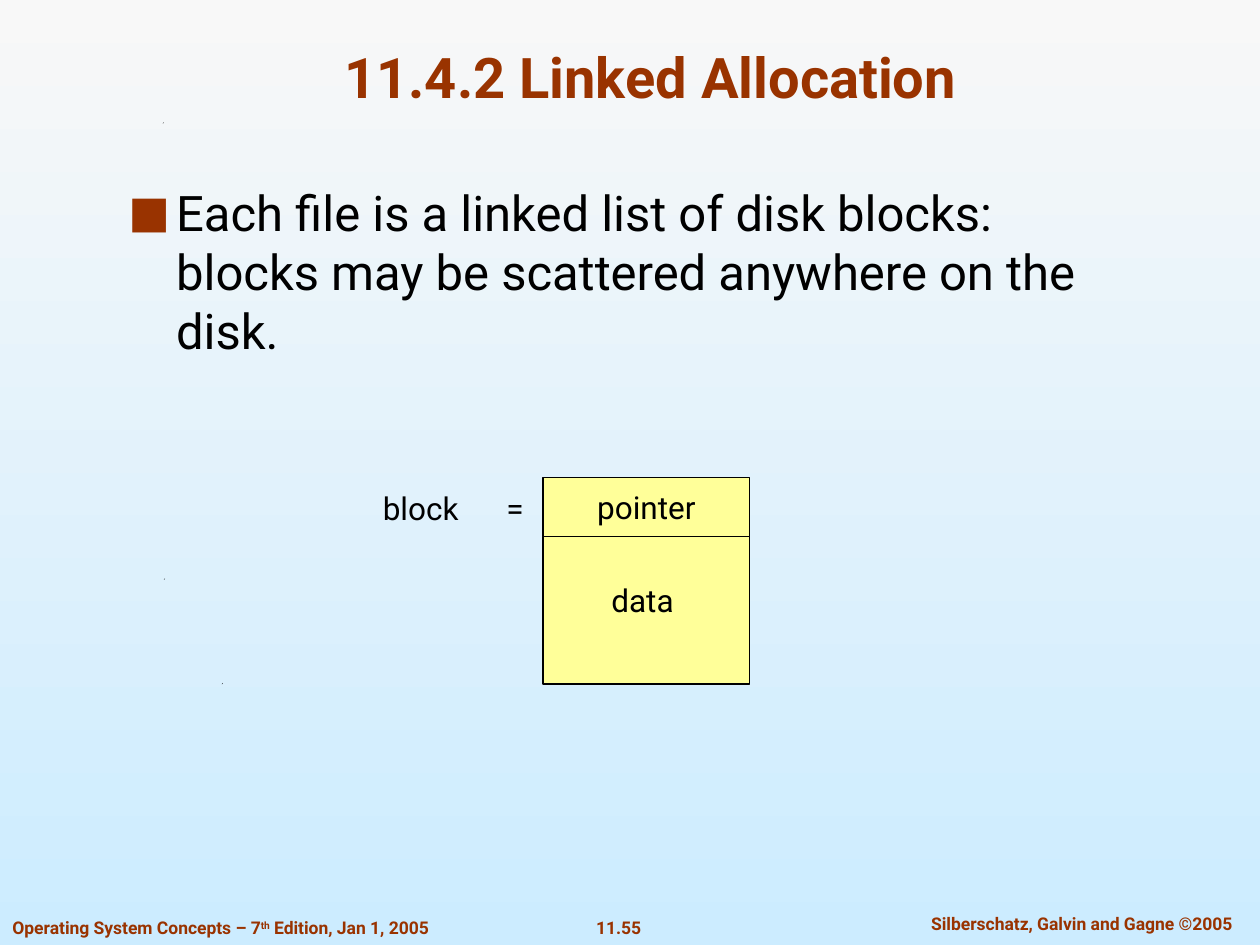
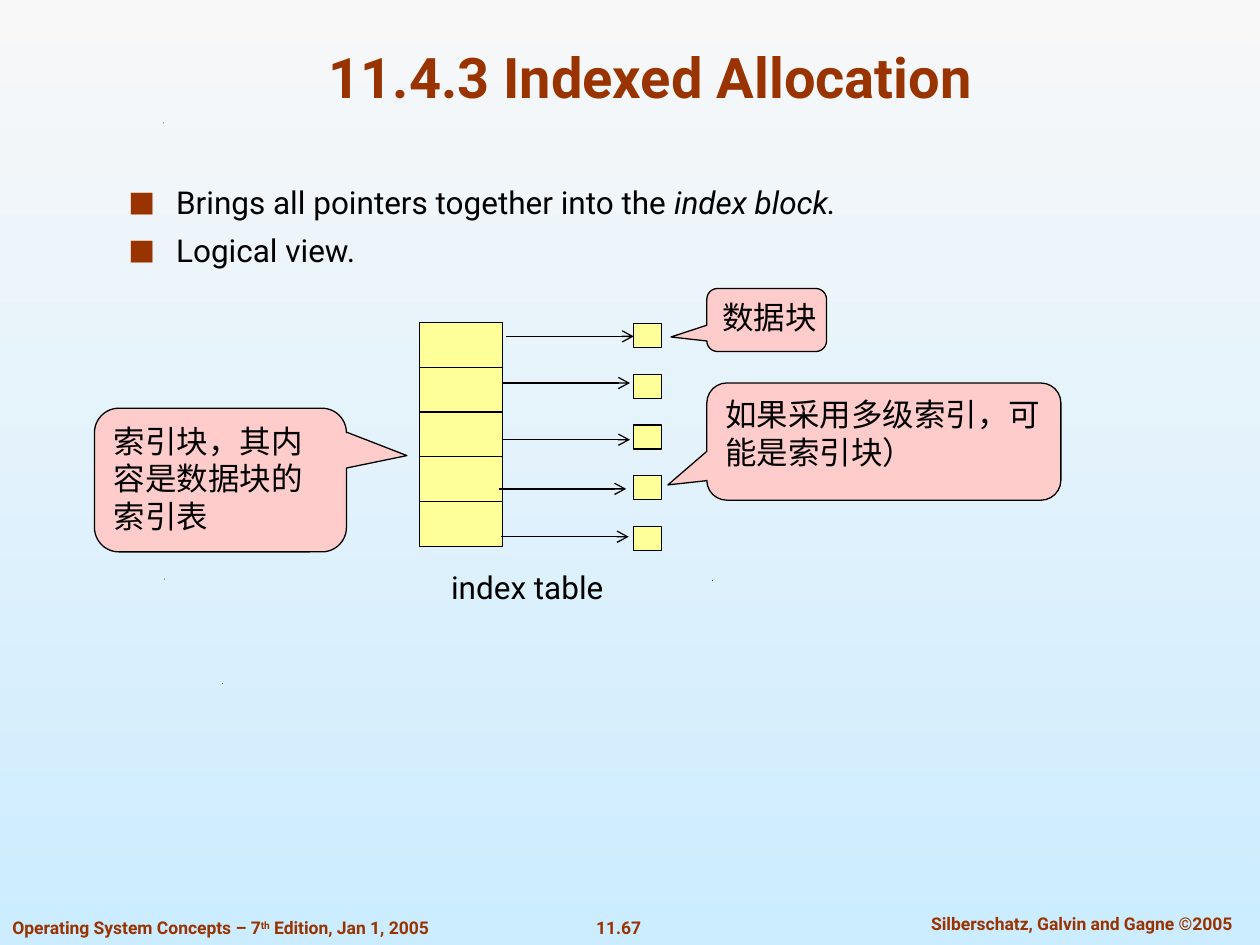
import pptx
import pptx.util
import pptx.dml.color
import pptx.enum.shapes
import pptx.enum.text
import pptx.oxml
import pptx.oxml.ns
from dataclasses import dataclass

ALIGN = pptx.enum.text.PP_ALIGN
ANCHOR = pptx.enum.text.MSO_ANCHOR
SHAPE = pptx.enum.shapes.MSO_SHAPE


@dataclass(frozen=True)
class Theme:
    font: str = "Roboto"
    rust: str = "993300"
    ink: str = "000000"
    yellow: str = "FFFF99"
    pink: str = "FFCCCC"
    sky: tuple = ("F8F8F8", "CCECFF")
    title_size: int = 32
    lead_size: int = 28
    text_size: int = 18
    footer_size: int = 10
    line_width: float = 0.75


THEME = Theme()
COLUMNS, ROWS = 100, 75
CELL = pptx.util.Inches(0.1)

TITLE_AREA = (7.5, 2.5, 88.3, 6.7)
BODY_AREA = (9.2, 14, 80.4, 10.2)
EDITION = [("Operating System Concepts – 7", {}), ("th", {"raised": True}),
           (" Edition, Jan 1, 2005", {})]
AUTHORS = [("Silberschatz, Galvin and Gagne ©2005", {})]
SPECKS = [(17.6, 54.3), (13, 46), (12.9, 9.8)]

SLIDES = [
    {"title": "11.4.2 Linked Allocation", "number": "11.55", "size": THEME.lead_size,
     "bullets": [[("Each file is a linked list of disk blocks: "
                   "blocks may be scattered anywhere on the disk.", {})]],
     "diagram": "block", "specks": SPECKS},
    {"title": "11.4.3 Indexed Allocation", "number": "11.67", "size": THEME.text_size,
     "bullets": [[("Brings all pointers together into the ", {}),
                  ("index block.", {"italic": True})],
                 [("Logical view.", {})]],
     "diagram": "index", "specks": SPECKS + [(56.5, 46.1)]},
]

BLOCK_PARTS = [
    ("pointer", (43.1, 37.9, 16.4, 4.7), True),
    ("", (43.1, 42.6, 16.4, 11.7), True),
    ("data", (44.5, 45.3, 13, 4.7), False),
]
BLOCK_LABEL, BLOCK_LABEL_AREA, EQUALS_STOP = "block\t=", (29.4, 38.3, 13.4, 4), 9.8

ENTRY_COUNT = 5
ENTRY, ENTRY_PITCH = (33.3, 25.6, 6.6, 3.6), 3.55
DATA_BLOCK, DATA_PITCH = (50.3, 25.7, 2.2, 1.9), 4.02
ARROW_STARTS = [(40.2, 26.7), (39.9, 30.4), (39.9, 34.9), (39.6, 38.8), (39.8, 42.6)]
ARROW_LENGTH = 10.1
INDEX_LABEL, INDEX_LABEL_AREA = "index table", (34.8, 44.6, 14.1, 4)
CALLOUTS = [
    ("数据块", (56.1, 22.9, 9.5, 5), (-0.8, 0.27, 0.17), False),
    ("索引块，其内容是数据块的索引表", (7.5, 32.4, 20, 11.4), (0.74, -0.17, 0.17), True),
    ("如果采用多级索引，可能是索引块）", (56.1, 30.4, 28.1, 9.3), (-0.61, 0.37, 0.17), True),
]


def cells(*lengths):
    return [round(length * CELL) for length in lengths]


def rgb(value):
    return pptx.dml.color.RGBColor.from_string(value)


def add_element(parent, tag, **attributes):
    element = pptx.oxml.parse_xml(f"<a:{tag} {pptx.oxml.ns.nsdecls('a')}/>")
    for name, value in attributes.items():
        element.set(name, str(value))
    parent.append(element)
    return element


def add_bullet(para):
    properties = para._p.get_or_add_pPr()
    indent = pptx.util.Inches(0.38)
    properties.set("marL", str(indent))
    properties.set("indent", str(-indent))
    add_element(add_element(properties, "buClr"), "srgbClr", val=THEME.rust)
    add_element(properties, "buSzPct", val=90000)
    add_element(properties, "buFont", typeface=THEME.font)
    add_element(properties, "buChar", char="■")


def write(shape, paragraphs, size=THEME.text_size, color=THEME.ink, bold=False,
          align=ALIGN.LEFT, anchor=ANCHOR.TOP, wrap=True, bullets=False, tab=None):
    frame = shape.text_frame
    for name, value in {"word_wrap": wrap, "vertical_anchor": anchor}.items():
        setattr(frame, name, value)
    for index, spans in enumerate(paragraphs):
        para = frame.add_paragraph() if index else frame.paragraphs[0]
        para.alignment = align
        if index:
            para.space_before = pptx.util.Pt(size * 0.35)
        if bullets:
            add_bullet(para)
        if tab:
            stops = add_element(para._p.get_or_add_pPr(), "tabLst")
            add_element(stops, "tab", pos=cells(tab)[0], algn="l")
        for text, style in spans:
            span = para.add_run()
            span.text = text
            settings = {"name": THEME.font, "size": pptx.util.Pt(size), "bold": bold,
                        "italic": style.get("italic", False)}
            for name, value in settings.items():
                setattr(span.font, name, value)
            span.font.color.rgb = rgb(color)
            if style.get("raised"):
                span._r.get_or_add_rPr().set("baseline", "30000")


def add_text(page, area, paragraphs, **style):
    box = page.shapes.add_textbox(*cells(*area))
    write(box, paragraphs, **style)


def paint(shape, fill, outlined=True):
    shape.shadow.inherit = False
    shape.fill.solid()
    shape.fill.fore_color.rgb = rgb(fill)
    if outlined:
        shape.line.color.rgb = rgb(THEME.ink)
        shape.line.width = pptx.util.Pt(THEME.line_width)
    else:
        shape.line.fill.background()


def add_box(page, area, fill=THEME.yellow, kind=SHAPE.RECTANGLE, outlined=True):
    box = page.shapes.add_shape(kind, *cells(*area))
    paint(box, fill, outlined)
    return box


def add_arrow(page, left, top):
    arrow = page.shapes.add_connector(pptx.enum.shapes.MSO_CONNECTOR.STRAIGHT,
                                      *cells(left, top, left + ARROW_LENGTH, top))
    arrow.line.color.rgb = rgb(THEME.ink)
    arrow.line.width = pptx.util.Pt(THEME.line_width)
    add_element(arrow.line._get_or_add_ln(), "tailEnd", type="arrow")
    add_element(arrow._element.spPr, "effectLst")


def add_speck(page, left, top):
    builder = page.shapes.build_freeform(*cells(left, top))
    builder.add_line_segments([cells(left + 0.1, top - 0.1), cells(left + 0.05, top)])
    paint(builder.convert_to_shape(), THEME.ink, outlined=False)


def add_frame(page, content):
    fill = page.background.fill
    fill.gradient()
    fill.gradient_angle = 270
    for stop, color in zip(fill.gradient_stops, THEME.sky):
        stop.color.rgb = rgb(color)
    footer = {"size": THEME.footer_size, "color": THEME.rust, "bold": True}
    add_text(page, (46.3, 72.3, 5.6, 2.7), [[(content["number"], {})]],
             align=ALIGN.CENTER, wrap=False, **footer)
    add_text(page, (71, 72, 29.7, 2.7), [AUTHORS], align=ALIGN.CENTER, **footer)
    add_text(page, (0, 72.3, 36.9, 2.7), [EDITION], **footer)
    for left, top in content["specks"]:
        add_speck(page, left, top)
    add_text(page, TITLE_AREA, [[(content["title"], {})]], size=THEME.title_size,
             color=THEME.rust, bold=True, align=ALIGN.CENTER, anchor=ANCHOR.BOTTOM)
    add_text(page, BODY_AREA, content["bullets"], size=content["size"], bullets=True)


def draw_block(page):
    for label, area, outlined in BLOCK_PARTS:
        box = add_box(page, area, outlined=outlined)
        if label:
            write(box, [[(label, {})]], align=ALIGN.CENTER, anchor=ANCHOR.MIDDLE, wrap=False)
    add_text(page, BLOCK_LABEL_AREA, [[(BLOCK_LABEL, {})]], anchor=ANCHOR.MIDDLE,
             tab=EQUALS_STOP)


def draw_index(page):
    for (left, top, width, height), pitch in ((ENTRY, ENTRY_PITCH), (DATA_BLOCK, DATA_PITCH)):
        for row in range(ENTRY_COUNT):
            add_box(page, (left, top + row * pitch, width, height))
    for left, top in ARROW_STARTS:
        add_arrow(page, left, top)
    add_text(page, INDEX_LABEL_AREA, [[(INDEX_LABEL, {})]], align=ALIGN.CENTER,
             anchor=ANCHOR.MIDDLE, wrap=False)
    for label, area, adjustments, wrap in CALLOUTS:
        callout = add_box(page, area, THEME.pink, SHAPE.ROUNDED_RECTANGULAR_CALLOUT)
        for index, value in enumerate(adjustments):
            callout.adjustments[index] = value
        write(callout, [[(label, {})]], wrap=wrap)


DIAGRAMS = {"block": draw_block, "index": draw_index}


def main():
    deck = pptx.Presentation()
    deck.slide_width, deck.slide_height = cells(COLUMNS, ROWS)
    for content in SLIDES:
        page = deck.slides.add_slide(deck.slide_layouts[6])
        add_frame(page, content)
        DIAGRAMS[content["diagram"]](page)
    deck.save("out.pptx")


if __name__ == "__main__":
    main()
